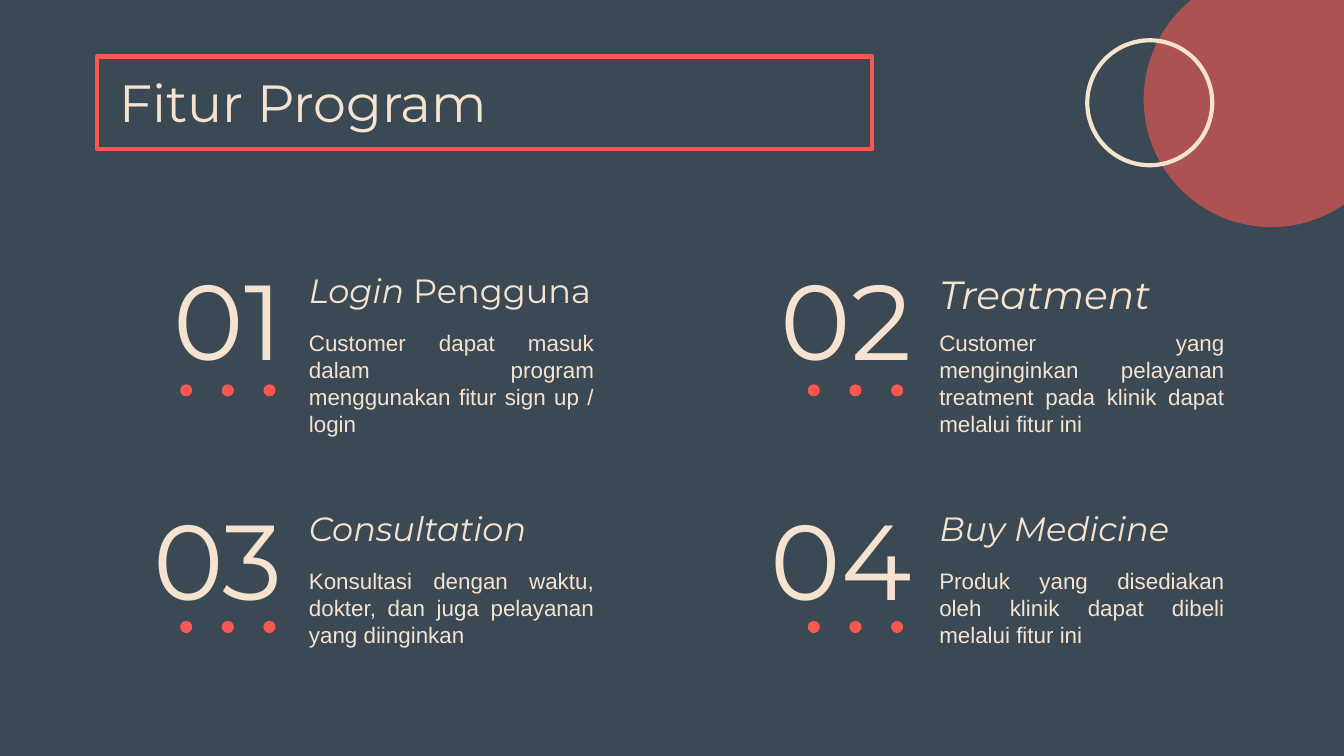
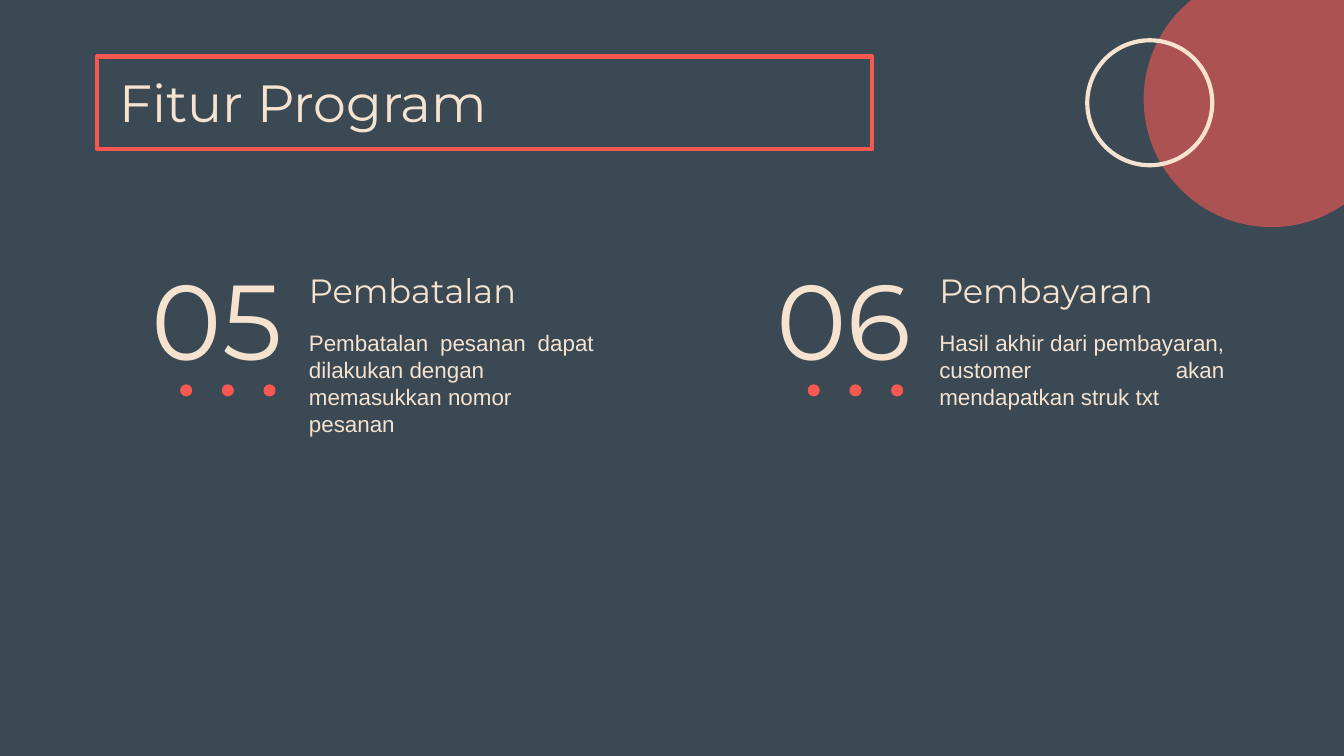
from lxml import etree
from pptx import Presentation
from pptx.dml.color import RGBColor
from pptx.enum import shapes, text
from pptx.oxml import ns
from pptx.util import Inches, Pt

COLORS = {"background": "3B4954", "cream": "F5E2CF", "coral": "F95851"}
DISPLAY, BODY = "Montserrat", "Arial"
NBSP = chr(160)

# Left edges per column: number, dots, text
COLUMNS = [(0.79, 1.34, 2.2), (5.47, 6.01, 6.89)]
# Top edges per row: number, dots, heading, description
ROWS = [(2.02, 2.86, 1.91, 2.35), (3.81, 4.62, 3.68, 4.12)]
DOT_SIZE, DOT_STEP = 0.09, 0.31

# Each feature: heading runs as (words, italic), heading size, description;
# "~" stands for a no-break space.
FEATURES = [
    [
        ([("Login ", True), ("Pengguna", False)], 18,
         "Customer dapat masuk dalam program menggunakan fitur sign up / login"),
        ([("Treatment", True)], 21,
         "Customer yang menginginkan pelayanan treatment pada klinik dapat "
         "melalui fitur ini"),
        ([("Consultation", True)], 18,
         "Konsultasi dengan waktu, dokter, dan juga pelayanan yang diinginkan"),
        ([("Buy Medicine", True)], 18,
         "Produk yang disediakan oleh klinik dapat dibeli melalui fitur ini"),
    ],
    [
        ([("Pembatalan", False)], 18,
         "Pembatalan pesanan dapat dilakukan~dengan memasukkan~nomor pesanan~"),
        ([("Pembayaran", False)], 18,
         "Hasil akhir dari~pembayaran, customer akan mendapatkan struk~txt"),
    ],
]


def rgb(name):
    return RGBColor.from_string(COLORS[name])


class Deck:
    def __init__(self):
        self.prs = Presentation()
        self.prs.slide_width = Inches(10)
        self.prs.slide_height = Inches(10) * 9 // 16
        self.slide = None

    def new_slide(self):
        self.slide = self.prs.slides.add_slide(self.prs.slide_layouts[6])
        background = self.slide.background.fill
        background.solid()
        background.fore_color.rgb = rgb("background")

    def text(self, box, runs, size, font=DISPLAY, align="LEFT", anchor="TOP"):
        """Add one paragraph from (words, italic) runs."""
        frame = self.slide.shapes.add_textbox(*map(Inches, box)).text_frame
        frame.word_wrap = True
        frame.vertical_anchor = text.MSO_ANCHOR[anchor]
        frame.margin_left = frame.margin_right = Inches(0.1)
        frame.margin_top = frame.margin_bottom = Inches(0.1)
        paragraph = frame.paragraphs[0]
        paragraph.alignment = text.PP_ALIGN[align]
        paragraph.line_spacing = 1.0
        for words, italic in runs:
            run = paragraph.add_run()
            run.text = words
            run.font.name, run.font.size = font, Pt(size)
            run.font.italic = italic
            run.font.color.rgb = rgb("cream")

    def shape(self, kind, box, fill=None, line=None, opacity=None, parent=None):
        owner = parent or self.slide
        item = owner.shapes.add_shape(kind, *map(Inches, box))
        item.shadow.inherit = False
        if fill:
            item.fill.solid()
            item.fill.fore_color.rgb = rgb(fill)
        else:
            item.fill.background()
        if line:
            item.line.color.rgb = rgb(line)
            item.line.width = Pt(2.25)
        else:
            item.line.fill.background()
        if opacity:
            color = item.fill._xPr.find(".//" + ns.qn("a:srgbClr"))
            etree.SubElement(color, ns.qn("a:alpha"), val=str(opacity * 1000))

    def dots(self, left, top):
        group = self.slide.shapes.add_group_shape()
        for i in range(3):
            self.shape(shapes.MSO_SHAPE.OVAL,
                       (left + i * DOT_STEP, top, DOT_SIZE, DOT_SIZE),
                       fill="coral", parent=group)

    def header(self, title):
        """Add the framed title and the corner circles."""
        self.text((0.79, 0.42, 8.43, 0.63), [(title, False)], 28)
        self.shape(shapes.MSO_SHAPE.RECTANGLE, (0.72, 0.42, 5.77, 0.69),
                   line="coral")
        self.shape(shapes.MSO_SHAPE.OVAL, (8.51, -0.21, 1.9, 1.9),
                   fill="coral", opacity=60)
        self.shape(shapes.MSO_SHAPE.OVAL, (8.09, 0.3, 0.93, 0.93), line="cream")

    def feature(self, position, number, heading, size, description):
        row, column = divmod(position, len(COLUMNS))
        number_left, dots_left, text_left = COLUMNS[column]
        number_top, dots_top, heading_top, description_top = ROWS[row]
        heading_width = 2.89 if position == 0 else 2.32
        self.text((number_left, number_top, 1.41, 0.69),
                  [(f"{number:02}", False)], 57, align="RIGHT", anchor="MIDDLE")
        self.text((text_left, heading_top, heading_width, 0.51), heading, size)
        self.text((text_left, description_top, 2.32, 0.79),
                  [(description.replace("~", NBSP), False)], 12, font=BODY,
                  align="JUSTIFY")
        self.dots(dots_left, dots_top)


def main():
    deck = Deck()
    number = 0
    for features in FEATURES:
        deck.new_slide()
        deck.header("Fitur Program")
        for position, feature in enumerate(features):
            number += 1
            deck.feature(position, number, *feature)
    deck.prs.save("out.pptx")


if __name__ == "__main__":
    main()
